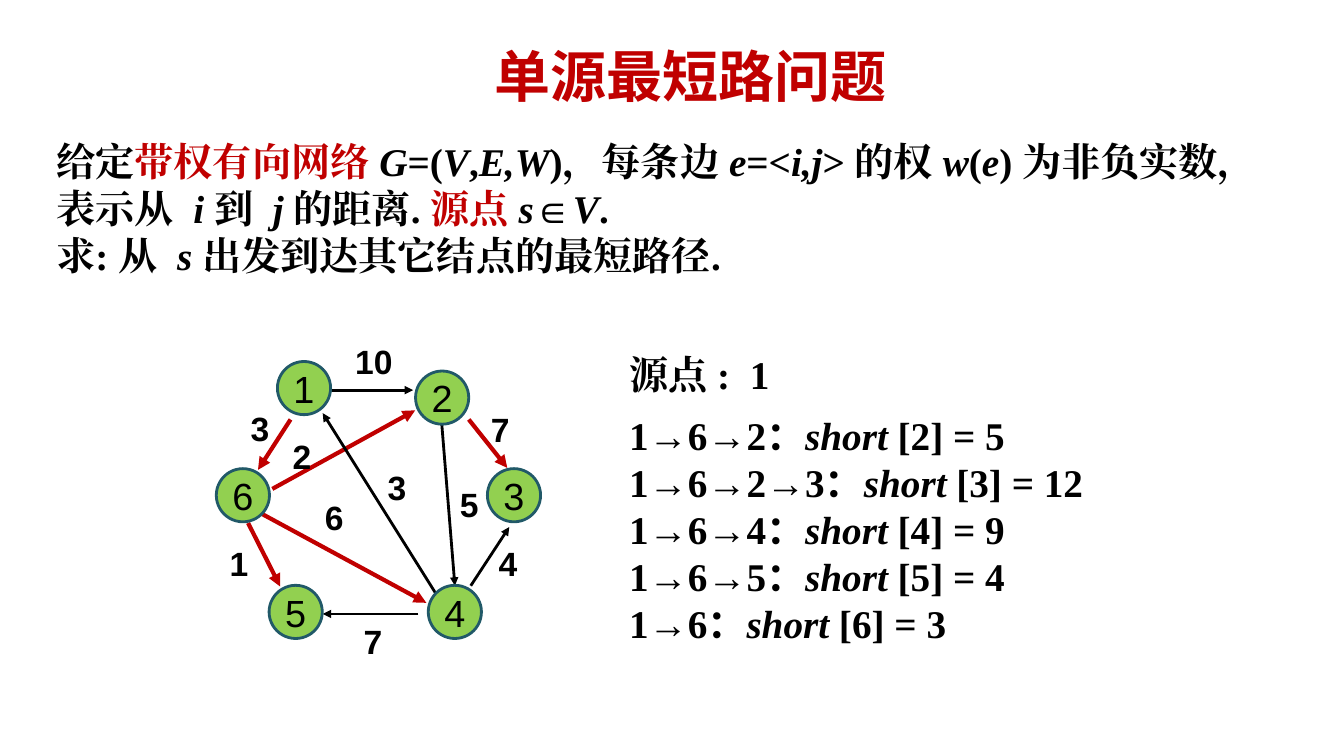
from pptx import Presentation
from pptx.dml.color import RGBColor
from pptx.enum.shapes import MSO_CONNECTOR, MSO_SHAPE
from pptx.enum.text import MSO_ANCHOR, MSO_AUTO_SIZE, PP_ALIGN
from pptx.oxml.xmlchemy import OxmlElement
from pptx.util import Cm, Pt
from dataclasses import dataclass


@dataclass(frozen=True)
class Theme:
    red: str = "C00000"
    black: str = "000000"
    green: str = "92D050"
    teal: str = "215968"
    serif: str = "Times New Roman"
    sans: str = "Arial"
    han: str = "Noto Sans CJK SC"
    title: float = 40
    body: float = 28
    node: float = 27
    label: float = 24
    pitch: float = 33.6
    gap: int = 700


look = Theme()
PLAIN = {}
RED = {"color": look.red}
SLANT = {"italic": True}
SANS = {"font": look.sans}
HAN = {"font": look.han}
GAP = {"space": look.gap}

TITLE = "单源最短路问题"
TASK = [
    [("给定", PLAIN), ("带权有向网络 ", RED), ("G", SLANT), ("=(", PLAIN),
     ("V", SLANT), (",", PLAIN), ("E,W", SLANT), (")，每条边 ", PLAIN),
     ("e", SLANT), ("=<", PLAIN), ("i,j", SLANT), ("> 的权 ", PLAIN),
     ("w", SLANT), ("(", PLAIN), ("e", SLANT), (") 为非负实数，表示从", PLAIN),
     (" ", GAP), ("i ", SLANT), ("到", PLAIN), (" ", GAP), ("j ", SLANT),
     ("的距离. ", PLAIN), ("源点 ", RED), ("s", SLANT), ("∈", SANS),
     ("V", SLANT), (".", PLAIN)],
    [("求: 从", PLAIN), (" ", GAP), ("s ", SLANT),
     ("出发到达其它结点的最短路径.", PLAIN)],
]
SOURCE = [("源点 :", PLAIN), (" ", GAP), ("1", PLAIN)]
ROUTES = [("162", 5), ("1623", 12), ("164", 9), ("165", 4), ("16", 3)]
NODES = {
    "1": (7.66, 9.78), "2": (11.14, 10.02), "3": (12.95, 12.48),
    "4": (11.46, 15.42), "5": (7.45, 15.42), "6": (6.12, 12.48),
}
EDGES = [
    ("10", (9.42, 9.1), (8.28, 9.83), (10.41, 9.83), False),
    ("3", (6.55, 10.79), (7.32, 10.57), (6.5, 11.84), True),
    ("7", (12.6, 10.81), (11.81, 10.57), (12.78, 11.79), True),
    ("2", (7.61, 11.49), (6.86, 12.32), (10.46, 10.34), True),
    ("6", (8.42, 13.03), (6.6, 12.95), (10.74, 15.19), True),
    ("1", (6.02, 14.19), (6.25, 13.18), (7.06, 14.78), True),
    ("7", (9.4, 16.15), (10.54, 15.47), (8.13, 15.47), False),
    ("4", (12.8, 14.19), (11.86, 14.76), (12.83, 13.28), False),
    ("3", (10, 12.27), (10.97, 14.94), (8.13, 10.41), False),
    ("5", (11.82, 12.7), (11.13, 10.69), (11.46, 14.76), False),
]


def tint(code):
    return RGBColor.from_string(code)


def write(para, text, size, font=look.serif, color=look.black,
          bold=True, italic=False, space=0):
    run = para.add_run()
    run.text = text
    run.font.size = Pt(size)
    run.font.bold = bold
    run.font.italic = italic
    run.font.color.rgb = tint(color)
    run.font.name = font
    props = run.font._element
    east = OxmlElement("a:ea")
    east.set("typeface", font)
    props.find("{*}latin").addnext(east)
    if space:
        props.set("spc", str(space))


def setup(frame, anchor=MSO_ANCHOR.TOP, top=0.05):
    frame.word_wrap = True
    frame.auto_size = MSO_AUTO_SIZE.NONE
    frame.vertical_anchor = anchor
    frame.margin_left = frame.margin_right = frame.margin_bottom = 0
    frame.margin_top = Cm(top)


def place(shape, box):
    shape.left, shape.top, shape.width, shape.height = map(Cm, box)


def middle(point, wide, high):
    return [Cm(n) for n in (point[0] - wide / 2, point[1] - high / 2, wide, high)]


def prose(slide, box, paras, pitches):
    frame = slide.shapes.add_textbox(*map(Cm, box)).text_frame
    setup(frame)
    for num, (runs, pitch) in enumerate(zip(paras, pitches)):
        para = frame.add_paragraph() if num else frame.paragraphs[0]
        para.alignment = PP_ALIGN.LEFT
        para.line_spacing = Pt(pitch)
        for text, style in runs:
            write(para, text, look.body, **style)


def route(stops, cost):
    runs = []
    for num, stop in enumerate(stops):
        if num:
            runs.append(("→", SANS))
        runs.append((stop, PLAIN))
    return runs + [("：", HAN), ("short ", SLANT), (f"[{stops[-1]}] = {cost}", PLAIN)]


def arrow(slide, start, end, best):
    line = slide.shapes.add_connector(
        MSO_CONNECTOR.STRAIGHT, *map(Cm, start + end))
    line.line.color.rgb = tint(look.red if best else look.black)
    line.line.width = Pt(3 if best else 2)
    tip = OxmlElement("a:tailEnd")
    tip.set("type", "triangle")
    line.line._get_or_add_ln().append(tip)
    line._element.spPr.append(OxmlElement("a:effectLst"))


def mark(shape, text, size, bold):
    setup(shape.text_frame, MSO_ANCHOR.MIDDLE, 0)
    para = shape.text_frame.paragraphs[0]
    para.alignment = PP_ALIGN.CENTER
    write(para, text, size, look.sans, bold=bold)


def graph(slide):
    for weight, spot, start, end, best in EDGES:
        arrow(slide, start, end, best)
    for name, spot in NODES.items():
        disc = slide.shapes.add_shape(MSO_SHAPE.OVAL, *middle(spot, 1.34, 1.34))
        disc.shadow.inherit = False
        disc.fill.solid()
        disc.fill.fore_color.rgb = tint(look.green)
        disc.line.color.rgb = tint(look.teal)
        disc.line.width = Pt(2)
        mark(disc, name, look.node, False)
    for weight, spot, start, end, best in EDGES:
        box = slide.shapes.add_textbox(*middle(spot, 0.55 * len(weight), 1.12))
        mark(box, weight, look.label, True)


def main():
    deck = Presentation()
    deck.slide_width, deck.slide_height = Cm(33.86), Cm(19.05)
    slide = deck.slides.add_slide(deck.slide_layouts[5])
    head = slide.shapes.title
    place(head, (4.65, 1, 25.5, 1.75))
    setup(head.text_frame, MSO_ANCHOR.MIDDLE)
    para = head.text_frame.paragraphs[0]
    para.alignment = PP_ALIGN.CENTER
    write(para, TITLE, look.title, look.han, look.red)

    prose(slide, (1.42, 3.4, 30.4, 3.63), TASK, [look.pitch] * len(TASK))
    paras = [SOURCE] + [route(*item) for item in ROUTES]
    tall = look.pitch * 1.25
    rest = [look.pitch] * (len(ROUTES) - 1)
    prose(slide, (15.85, 8.48, 16.9, 7.87), paras, [tall, tall + 1.3] + rest)
    graph(slide)
    deck.save("out.pptx")


if __name__ == "__main__":
    main()
